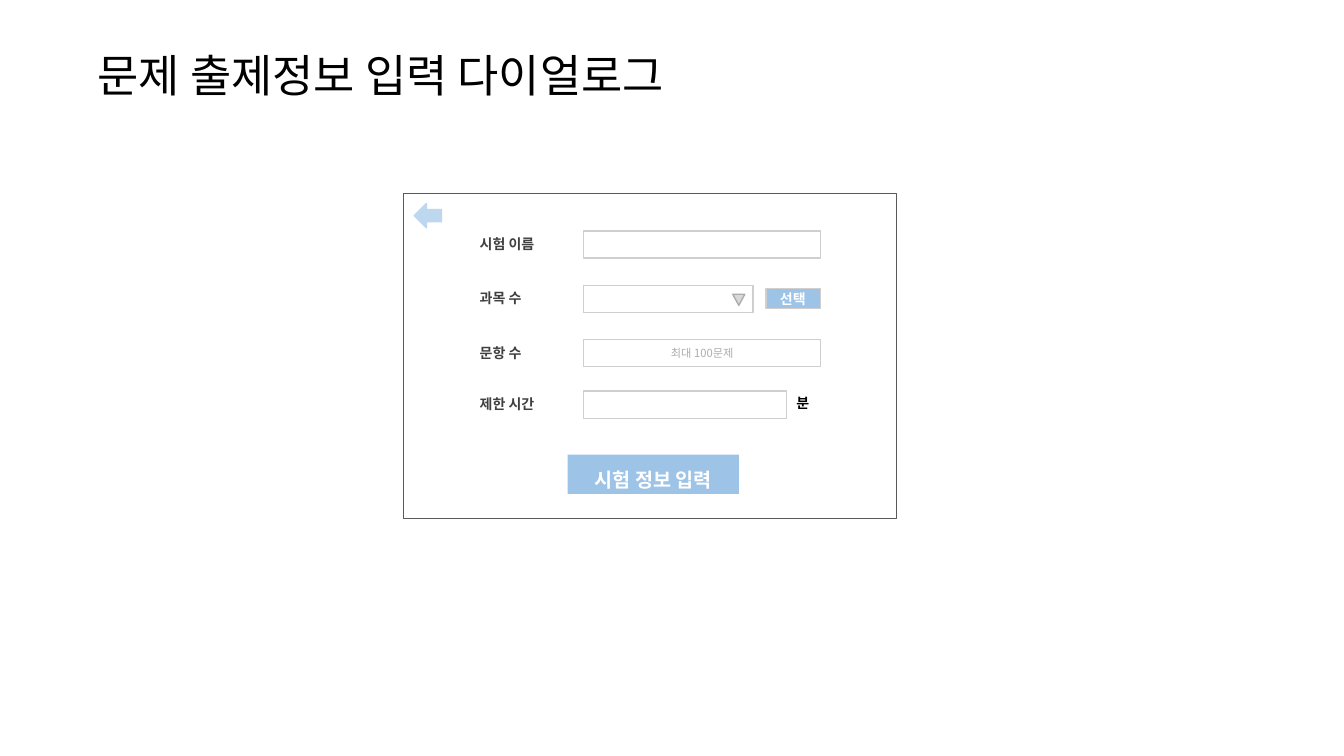
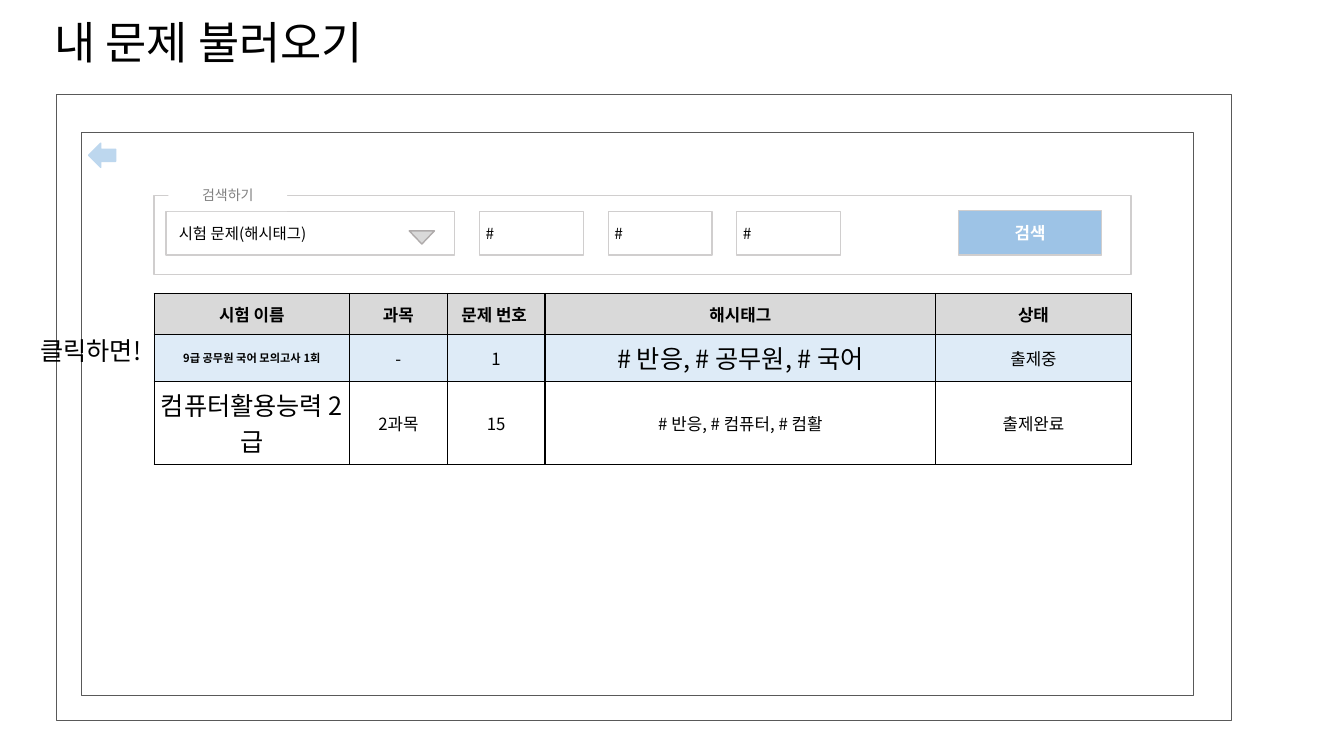
import pptx
import pptx.util
import pptx.dml.color
import pptx.enum.shapes
import pptx.enum.text
import pptx.oxml
import pptx.oxml.ns
import lxml.etree

Pt = pptx.util.Pt
SHAPE = pptx.enum.shapes.MSO_SHAPE
ALIGN = pptx.enum.text.PP_ALIGN
ANCHOR = pptx.enum.text.MSO_ANCHOR
AUTO_SIZE = pptx.enum.text.MSO_AUTO_SIZE
qn = pptx.oxml.ns.qn

FONT = "Noto Sans CJK KR"
MARGIN = 3.6
COLORS = {
    "text": "000000",
    "label": "404040",
    "caption": "808080",
    "hint": "AFABAB",
    "white": "FFFFFF",
    "frame": "595959",
    "field": "D0CECE",
    "button": "9DC3E6",
    "arrow": "BDD7EE",
    "gray": "D9D9D9",
    "selected": "DEEBF7",
}


def rgb(name):
    return pptx.dml.color.RGBColor.from_string(COLORS[name])


def points(box):
    return [Pt(length) for length in box]


def inset(box, dx, dy):
    left, top, width, height = box
    return left + dx, top + dy, width - 2 * dx, height - 2 * dy


def format_paragraph(paragraph, size, color="text", bold=False, align=ALIGN.LEFT,
                     spacing=1.0, font_name=FONT):
    paragraph.alignment = align
    paragraph.line_spacing = spacing
    font = paragraph.font
    font.size = Pt(size)
    font.bold = bold
    font.color.rgb = rgb(color)
    font.name = font_name
    properties = paragraph._p.get_or_add_pPr().find(qn("a:defRPr"))
    east_asian = lxml.etree.SubElement(properties, qn("a:ea"))
    east_asian.set("typeface", FONT)


def set_margins(target):
    target.margin_left = target.margin_right = Pt(MARGIN)
    target.margin_top = target.margin_bottom = Pt(MARGIN)


def add_text(slide, box, text, size, grow=True, wrap=True, anchor=ANCHOR.MIDDLE, **style):
    shape = slide.shapes.add_textbox(*points(box))
    frame = shape.text_frame
    frame.word_wrap = wrap
    frame.auto_size = AUTO_SIZE.SHAPE_TO_FIT_TEXT if grow else AUTO_SIZE.NONE
    frame.vertical_anchor = anchor
    set_margins(frame)
    frame.text = text
    format_paragraph(frame.paragraphs[0], size, **style)


def add_shape(slide, box, fill=None, line=None, line_width=1, kind=SHAPE.RECTANGLE):
    shape = slide.shapes.add_shape(kind, *points(box))
    shape.shadow.inherit = False
    if fill:
        shape.fill.solid()
        shape.fill.fore_color.rgb = rgb(fill)
    else:
        shape.fill.background()
    if line:
        shape.line.color.rgb = rgb(line)
        shape.line.width = Pt(line_width)
    else:
        shape.line.fill.background()
    return shape


def add_frame(slide, box):
    add_shape(slide, box, line="frame", line_width=0.25)


def add_field(slide, box):
    add_shape(slide, box, fill="white", line="field")


def add_back_arrow(slide, left, top):
    add_shape(slide, (left, top, 19.4, 17.3), "arrow", "arrow", kind=SHAPE.LEFT_ARROW)


def add_drop_mark(slide, box):
    mark = add_shape(slide, box, "gray", "hint", kind=SHAPE.ISOSCELES_TRIANGLE)
    mark.rotation = 180


def add_titled_slide(presentation, title, box):
    slide = presentation.slides.add_slide(presentation.slide_layouts[5])
    shape = slide.shapes.title
    shape.left, shape.top, shape.width, shape.height = points(box)
    frame = shape.text_frame
    frame.text = title
    frame.word_wrap = True
    frame.auto_size = AUTO_SIZE.NONE
    frame.vertical_anchor = ANCHOR.MIDDLE
    set_margins(frame)
    format_paragraph(frame.paragraphs[0], 32, spacing=0.9)
    return slide


def add_exam_dialog(slide, box):
    left, top = box[:2]
    field_left = left + 129
    field_height = 19.4
    rows = [("시험 이름", 24.5, 169.2), ("과목 수", 63.4, 121),
            ("문항 수", 102.2, 169.2), ("제한 시간", 139, 144.7)]
    add_frame(slide, box)
    add_back_arrow(slide, left + 7.9, top + 7.2)

    submit = (left + 117.4, top + 186.5, 122.4, 28.1)
    add_shape(slide, submit, fill="button")
    add_text(slide, inset(submit, MARGIN, 1.4), "시험 정보 입력", 14, color="white",
             bold=True, align=ALIGN.CENTER, spacing=1.5)

    for label, offset, width in rows:
        row_top = top + offset
        add_text(slide, (left + 51.1, row_top + 1.4, 74.2, 20.2), label, 10,
                 color="label", bold=True)
        add_field(slide, (field_left, row_top + 2.2, width, field_height))

    subject_top, count_top, time_top = [top + offset for _, offset, _ in rows[1:]]
    add_drop_mark(slide, (left + 235.4, subject_top + 8.6, 8.6, 7.9))
    add_shape(slide, (left + 259.2, subject_top + 4.3, 38.9, 14.4), "button", "field")
    add_text(slide, (left + 262.8, subject_top + 2.2, 31, field_height), "선택", 10,
             color="white", bold=True, align=ALIGN.CENTER)
    add_text(slide, (field_left + 4, count_top + 2.9, 161.3, 18), "최대 100문제", 8,
             color="hint", align=ALIGN.CENTER)
    add_text(slide, (left + 277.2, time_top + 1.4, 16.6, field_height), "분", 10,
             wrap=False, anchor=ANCHOR.TOP, bold=True, font_name="Arial")


def add_search_panel(slide, box):
    left, top, width, height = box
    control_top = top + 11.5
    control_height = 31
    add_field(slide, box)

    kind_box = (left + 8.6, control_top, 205.9, control_height)
    add_field(slide, kind_box)
    add_text(slide, inset(kind_box, 5.4, MARGIN), "시험 문제(해시태그)", 11, grow=False)
    add_drop_mark(slide, (left + 182.2, top + 25.2, 18, 9.4))

    caption = (left + 10.1, top - 11.5, 85, 22.6)
    add_shape(slide, caption, fill="white")
    add_text(slide, inset(caption, 4.3, 0), "검색하기", 10, grow=False,
             color="caption", align=ALIGN.CENTER)

    for index in range(3):
        tag_box = (left + 232.6 + index * 91.8, control_top, 74.2, control_height)
        add_field(slide, tag_box)
        add_text(slide, inset(tag_box, 0.7, MARGIN), "#", 11, grow=False)

    button = (left + 574.6, top + 10.8, 102.2, 31.7)
    add_shape(slide, button, "button", "field")
    add_text(slide, inset(button, 5.4, 2.5), "검색", 12, color="white", bold=True,
             align=ALIGN.CENTER)


def add_cell_borders(cell):
    properties = cell._tc.get_or_add_tcPr()
    for side in ("lnL", "lnR", "lnT", "lnB"):
        line = lxml.etree.SubElement(properties, qn("a:" + side), w=str(Pt(1)))
        fill = lxml.etree.SubElement(line, qn("a:solidFill"))
        lxml.etree.SubElement(fill, qn("a:srgbClr"), val=COLORS["text"])


def add_exam_table(slide, box):
    widths = [139.6, 69.8, 69.8, 279.2, 139.6]
    rows = [
        ("gray", ["시험 이름", "과목", "문제 번호 ", "해시태그", "상태"], [12] * 5),
        ("selected", ["9급 공무원 국어 모의고사 1회", "-", "1",
                      "# 반응, # 공무원, # 국어", "출제중"], [8, 12, 12, 18, 12]),
        (None, ["컴퓨터활용능력 2급", "2과목", "15",
                "# 반응, # 컴퓨터, # 컴활", "출제완료"], [18, 12, 12, 12, 12]),
    ]
    table = slide.shapes.add_table(len(rows), len(widths), *points(box)).table
    table.first_row = False
    table.horz_banding = False
    for column, width in zip(table.columns, widths):
        column.width = Pt(width)
    for row_index, (fill, texts, sizes) in enumerate(rows):
        table.rows[row_index].height = Pt(box[3] / len(rows))
        for column_index, (text, size) in enumerate(zip(texts, sizes)):
            cell = table.cell(row_index, column_index)
            cell.text = text
            cell.vertical_anchor = ANCHOR.MIDDLE
            set_margins(cell)
            bold = row_index == 0 or (row_index == 1 and column_index == 0)
            format_paragraph(cell.text_frame.paragraphs[0], size, bold=bold,
                             align=ALIGN.CENTER)
            add_cell_borders(cell)
            if fill:
                cell.fill.solid()
                cell.fill.fore_color.rgb = rgb(fill)
            else:
                cell.fill.background()


def add_problem_browser(slide, box):
    left, top = box[:2]
    add_frame(slide, box)
    add_frame(slide, (left + 18, top + 27.4, 794.2, 402.5))
    add_back_arrow(slide, left + 23, top + 35.3)
    add_exam_table(slide, (left + 69.8, top + 142.6, 698, 88.2))
    add_search_panel(slide, (left + 69.8, top + 72.7, 697.7, 56.2))
    add_text(slide, (left - 15.1, top + 169.2, 96.5, 28.8), "클릭하면!", 18,
             anchor=ANCHOR.TOP)


presentation = pptx.Presentation()
presentation.slide_width = Pt(960)
presentation.slide_height = Pt(540)

dialog_slide = add_titled_slide(presentation, "문제 출제정보 입력 다이얼로그",
                                (66.2, 28.8, 518.4, 53.3))
add_exam_dialog(dialog_slide, (288, 138.2, 352.1, 231.8))

browser_slide = add_titled_slide(presentation, "내 문제 불러오기",
                                 (35.3, 5.8, 673.9, 53.3))
add_problem_browser(browser_slide, (40.3, 67, 838.8, 447.1))

presentation.save("out.pptx")
